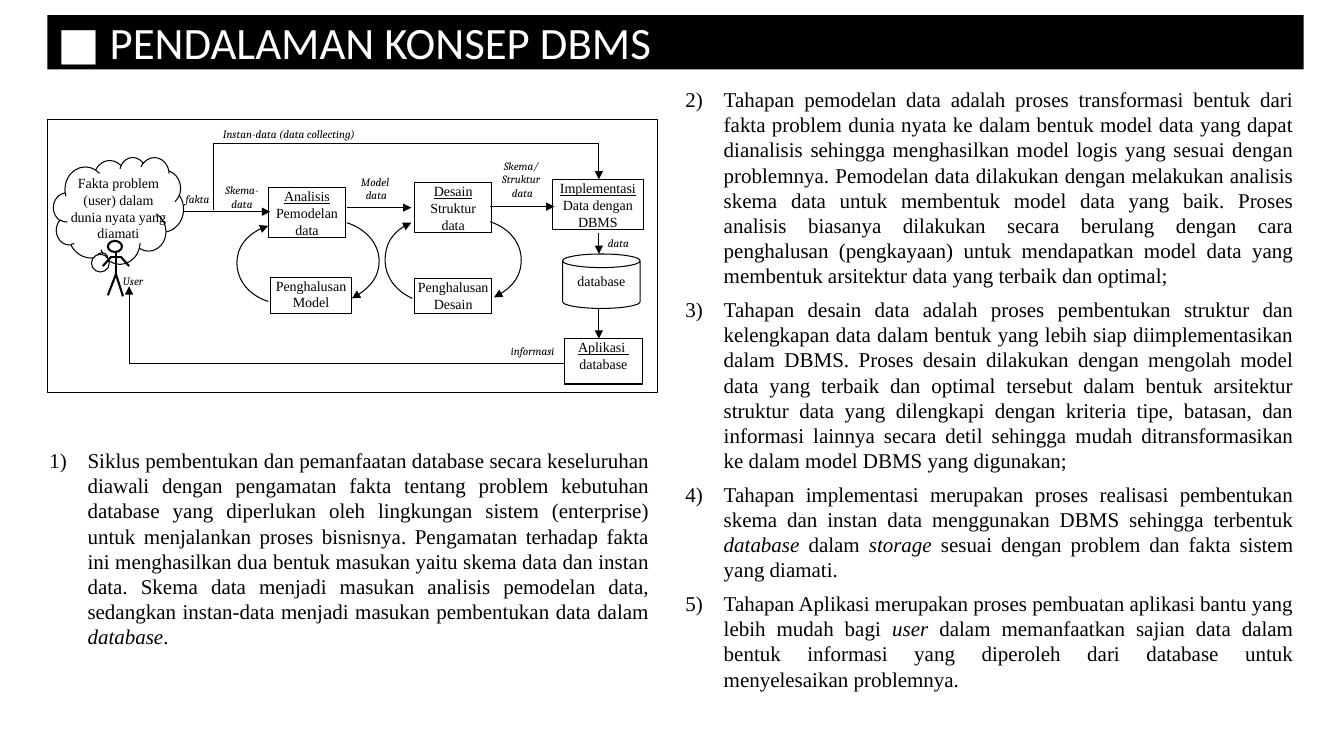
"""Build the slide on the stages of developing a database with a DBMS."""
from lxml.etree import SubElement
from pptx import Presentation
from pptx.dml.color import RGBColor
from pptx.enum.shapes import MSO_CONNECTOR as Connector, MSO_SHAPE as Preset
from pptx.enum.text import MSO_ANCHOR as Anchor, PP_ALIGN as Align
from pptx.oxml.ns import qn
from pptx.util import Inches, Pt

COLORS = {"ink": "000000", "paper": "FFFFFF"}
STAGE = {"size": Pt(10), "name": "Times New Roman"}
LABEL = {"size": Pt(8), "name": "Cambria", "italic": True}
BODY = {"size": Pt(15), "name": "Times New Roman"}
TITLE = {"size": Pt(32), "name": "Calibri"}
NO_INSETS = (0, 0, 0, 0)
INSETS = (0.1, 0.05, 0.1, 0.05)

STAGES = [
    ((2.66, 1.86, 0.77, 0.5), ["_Analisis", "Pemodelan data"]),
    ((5.48, 1.78, 0.9, 0.5), ["_Implementasi", "Data dengan", "DBMS"]),
    ((2.68, 2.75, 0.81, 0.36), ["Penghalusan", "Model"]),
    ((4.11, 2.76, 0.77, 0.35), ["Penghalusan", "Desain"]),
    ((4.11, 1.81, 0.77, 0.5), ["_Desain", "Struktur", "data"]),
    ((5.6, 3.36, 0.77, 0.45), ["_Aplikasi ", "database"]),
]
FLOW_LABELS = [
    ((3.36, 1.74, 0.72, 0.27), ["Model", " data"], Align.CENTER),
    ((1.6, 1.91, 0.72, 0.15), ["fakta"], Align.CENTER),
    ((4.81, 1.58, 0.72, 0.43), ["Skema/", "Struktur", " data"], Align.CENTER),
    ((2.21, 1.26, 1.48, 0.16), ["Instan-data (data collecting)"], Align.LEFT),
    ((2.04, 1.82, 0.72, 0.26), ["Skema-", "data"], Align.CENTER),
    ((6.03, 2.34, 0.34, 0.16), ["data"], Align.LEFT),
    ((4.77, 3.42, 0.73, 0.16), ["informasi"], Align.RIGHT),
    ((1.22, 2.72, 0.73, 0.16), ["User"], Align.LEFT),
]
ARROWS = [
    (1.82, 2.1, 2.68, 2.1), (3.44, 2.06, 4.08, 2.06), (4.86, 2.05, 5.5, 2.05),
    (5.94, 2.31, 5.94, 2.52), (5.94, 1.42, 5.94, 1.78), (5.94, 3.06, 5.94, 3.36),
    (1.28, 3.61, 1.28, 2.84),
]
PLAIN_LINES = [(2.12, 1.42, 5.94, 1.42), (2.12, 2.08, 2.12, 1.42), (1.28, 3.61, 5.6, 3.61)]
USER_LIMBS = [
    (1.15, 2.5, 1.15, 2.72), (1.15, 2.72, 1.07, 2.93), (1.15, 2.72, 1.22, 2.94),
    (1.2, 2.55, 1.28, 2.64), (1.02, 2.64, 1.1, 2.55), (1.09, 2.55, 1.21, 2.55),
]
REFINEMENT_LOOPS = [
    [(3.44, 2.21), (3.63, 2.27), (3.76, 2.42), (3.76, 2.59), (3.76, 2.74), (3.65, 2.88), (3.49, 2.96)],
    [(2.66, 2.99), (2.47, 2.93), (2.35, 2.78), (2.35, 2.61), (2.35, 2.45), (2.47, 2.3), (2.66, 2.24)],
    [(4.86, 2.2), (5.05, 2.26), (5.17, 2.41), (5.17, 2.58), (5.17, 2.73), (5.07, 2.87), (4.9, 2.95)],
    [(4.09, 2.96), (3.93, 2.89), (3.82, 2.75), (3.82, 2.58), (3.82, 2.42), (3.92, 2.27), (4.08, 2.21)],
]
CYCLE = [
    "Siklus pembentukan dan pemanfaatan database secara keseluruhan diawali dengan pengamatan fakta tentang "
    "problem kebutuhan database yang diperlukan oleh lingkungan sistem (enterprise) untuk menjalankan proses "
    "bisnisnya. Pengamatan terhadap fakta ini menghasilkan dua bentuk masukan yaitu skema data dan instan data. "
    "Skema data menjadi masukan analisis pemodelan data, sedangkan instan-data menjadi masukan pembentukan data "
    "dalam *database*.",
]
PHASES = [
    "Tahapan pemodelan data adalah proses transformasi bentuk dari fakta problem dunia nyata ke dalam bentuk "
    "model data yang dapat dianalisis sehingga menghasilkan model logis yang sesuai dengan problemnya. Pemodelan "
    "data dilakukan dengan melakukan analisis skema data untuk membentuk model data yang baik. Proses analisis "
    "biasanya dilakukan secara berulang dengan cara penghalusan (pengkayaan) untuk mendapatkan model data yang "
    "membentuk arsitektur data yang terbaik dan optimal;",
    "Tahapan desain data adalah proses pembentukan struktur dan kelengkapan data dalam bentuk yang lebih siap "
    "diimplementasikan dalam DBMS. Proses desain dilakukan dengan mengolah model data yang terbaik dan optimal "
    "tersebut dalam bentuk arsitektur struktur data yang dilengkapi dengan kriteria tipe, batasan, dan informasi "
    "lainnya secara detil sehingga mudah ditransformasikan ke dalam model DBMS yang digunakan;",
    "Tahapan implementasi merupakan proses realisasi pembentukan skema dan instan data menggunakan DBMS sehingga "
    "terbentuk *database* dalam *storage* sesuai dengan problem dan fakta sistem yang diamati.",
    "Tahapan Aplikasi merupakan proses pembuatan aplikasi bantu yang lebih mudah bagi *user* dalam memanfaatkan "
    "sajian data dalam bentuk informasi yang diperoleh dari database untuk menyelesaikan problemnya.",
]


def color(key):
    """Return the named colour."""
    return RGBColor.from_string(COLORS[key])


def inches(lengths):
    """Convert a sequence of numbers to lengths."""
    return [Inches(length) for length in lengths]


def apply(target, values):
    """Set every attribute given in a dict of format values."""
    for attribute, value in values.items():
        setattr(target, attribute, value)


def add_run(paragraph, text, font, ink="ink", **extra):
    """Append a formatted run to a paragraph."""
    run = paragraph.add_run()
    run.text = text
    apply(run.font, {**font, **extra})
    run.font.color.rgb = color(ink)


def prepare_frame(shape, insets, anchor=Anchor.TOP):
    """Set wrapping, margins and anchor of a text frame."""
    sides = ("margin_left", "margin_top", "margin_right", "margin_bottom")
    apply(shape.text_frame, {"word_wrap": True, "vertical_anchor": anchor, **dict(zip(sides, inches(insets)))})
    return shape.text_frame


def paragraphs_for(frame, texts):
    """Yield one paragraph with its text for each entry."""
    for index, text in enumerate(texts):
        yield (frame.add_paragraph() if index else frame.paragraphs[0]), text


def write_lines(shape, lines, font, align=Align.CENTER, insets=NO_INSETS):
    """Write short lines, underlining those that start with a low line."""
    for paragraph, line in paragraphs_for(prepare_frame(shape, insets), lines):
        paragraph.alignment = align
        add_run(paragraph, line.removeprefix("_"), font, underline=line.startswith("_"))


def add_node(slide, preset, bounds, fill="paper", weight=0.75):
    """Add an outlined preset shape."""
    node = slide.shapes.add_shape(preset, *inches(bounds))
    node.shadow.inherit = False
    if fill:
        node.fill.solid()
        node.fill.fore_color.rgb = color(fill)
    else:
        node.fill.background()
    draw_stroke(node, weight)
    return node


def draw_stroke(outline, weight=0.75, arrow=False):
    """Give an outline its colour, weight and arrowhead."""
    outline.line.color.rgb = color("ink")
    outline.line.width = Pt(weight)
    if arrow:
        SubElement(outline.element.spPr.get_or_add_ln(), qn("a:tailEnd"), type="triangle")


def add_flow(slide, ends, weight=0.75, arrow=False):
    """Add a straight line without shadow."""
    flow = slide.shapes.add_connector(Connector.STRAIGHT, *inches(ends))
    draw_stroke(flow, weight, arrow)
    SubElement(flow.element.spPr, qn("a:effectLst"))


def bend(loop):
    """Join every three line segments into one cubic curve."""
    segments = list(loop.element.iter(qn("a:lnTo")))
    for first in range(0, len(segments), 3):
        curve, *others = segments[first:first + 3]
        curve.tag = qn("a:cubicBezTo")
        for segment in others:
            curve.append(segment[0])
            segment.getparent().remove(segment)


def add_loop(slide, controls):
    """Add a curved arrow."""
    start, *others = [inches(point) for point in controls]
    builder = slide.shapes.build_freeform(*start)
    builder.add_line_segments(others, close=False)
    loop = builder.convert_to_shape()
    bend(loop)
    loop.shadow.inherit = False
    loop.fill.background()
    draw_stroke(loop, arrow=True)


def add_label(slide, bounds, lines, align=Align.CENTER, font=LABEL):
    """Add a small text without margins."""
    write_lines(slide.shapes.add_textbox(*inches(bounds)), lines, font, align)


def add_numbered(slide, bounds, items, start, gap=0):
    """Add a justified numbered list with italics between asterisks."""
    frame = prepare_frame(slide.shapes.add_textbox(*inches(bounds)), INSETS)
    for paragraph, item in paragraphs_for(frame, items):
        apply(paragraph, {"alignment": Align.JUSTIFY, "space_after": Pt(gap)})
        properties = paragraph._p.get_or_add_pPr()
        properties.set("marL", str(Inches(0.38)))
        properties.set("indent", str(Inches(-0.38)))
        SubElement(properties, qn("a:buAutoNum"), type="arabicParenR", startAt=str(start))
        for index, part in enumerate(item.split("*")):
            add_run(paragraph, part, BODY, italic=index % 2 == 1)


def add_title(slide, text):
    """Add the title band."""
    band = add_node(slide, Preset.RECTANGLE, (0.47, 0.15, 12.46, 0.54), "ink")
    band.line.fill.background()
    heading = prepare_frame(band, (0.1, 0.05, 0.1, 0), Anchor.BOTTOM).paragraphs[0]
    apply(heading, {"alignment": Align.LEFT, "line_spacing": 0.9})
    add_run(heading, text, TITLE, "paper")


def add_diagram(slide):
    """Add the cycle from facts to application."""
    add_node(slide, Preset.RECTANGLE, (0.47, 1.19, 6.05, 2.7), None)
    for bounds, lines in STAGES:
        write_lines(add_node(slide, Preset.RECTANGLE, bounds), lines, STAGE)
    database = add_node(slide, Preset.CAN, (5.58, 2.52, 0.77, 0.54))
    write_lines(database, ["database"], STAGE, insets=INSETS)
    for controls in REFINEMENT_LOOPS:
        add_loop(slide, controls)
    for ends in ARROWS:
        add_flow(slide, ends, arrow=True)
    for ends in PLAIN_LINES:
        add_flow(slide, ends)
    facts = add_node(slide, Preset.CLOUD_CALLOUT, (0.53, 1.56, 1.29, 1.06))
    facts.adjustments[0], facts.adjustments[1] = -0.13, 0.46
    add_label(slide, (0.66, 1.73, 1.03, 0.62), ["Fakta problem (user) dalam dunia nyata yang diamati"], font=STAGE)
    add_node(slide, Preset.OVAL, (1.07, 2.39, 0.14, 0.11), weight=1.5)
    for ends in USER_LIMBS:
        add_flow(slide, ends, 1.5)
    for bounds, lines, align in FLOW_LABELS:
        add_label(slide, bounds, lines, align)


def main():
    """Build and save the slide."""
    deck = Presentation()
    apply(deck, {"slide_width": Inches(13.33), "slide_height": Inches(7.5)})
    slide = deck.slides.add_slide(deck.slide_layouts[6])
    add_title(slide, "■ PENDALAMAN KONSEP DBMS")
    add_numbered(slide, (6.7, 0.81, 6.23, 6.16), PHASES, 2, 6)
    add_diagram(slide)
    add_numbered(slide, (0.39, 4.39, 6.15, 2.37), CYCLE, 1)
    deck.save("out.pptx")


if __name__ == "__main__":
    main()
